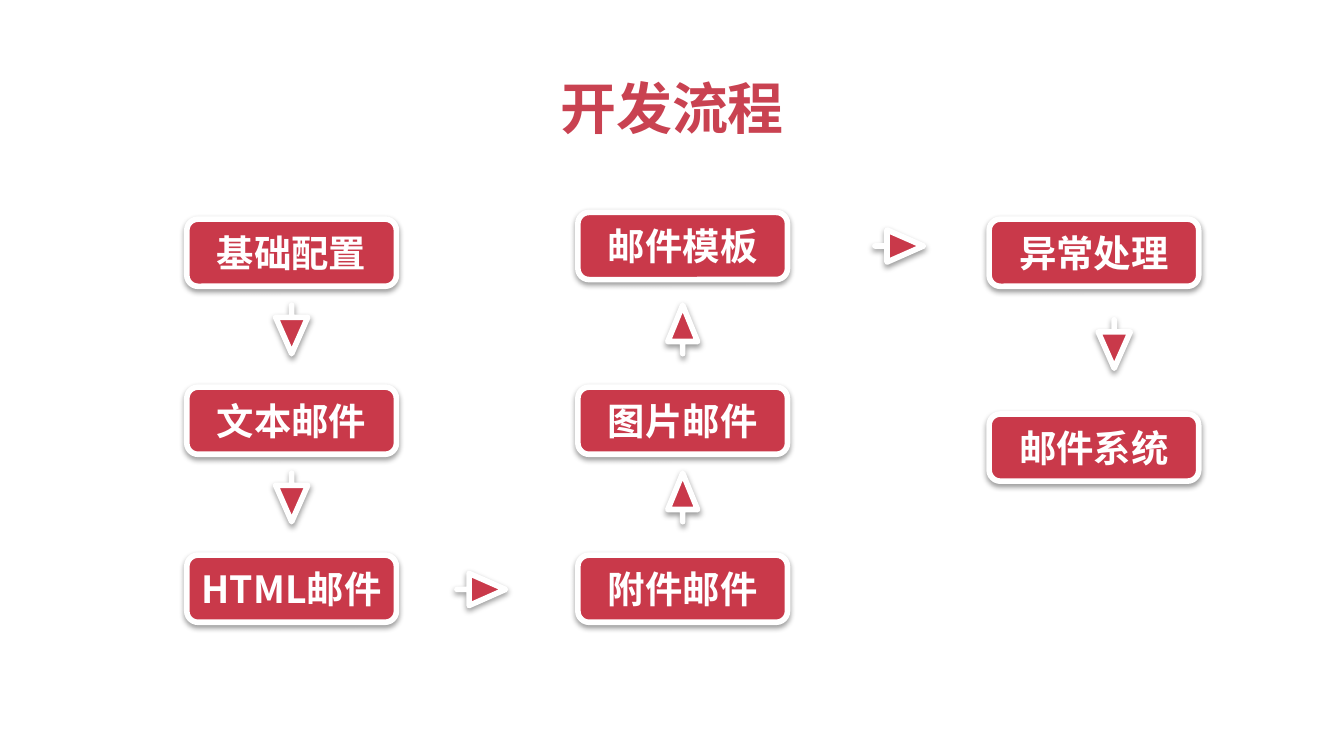
from lxml import etree
from pptx import Presentation
from pptx.dml.color import RGBColor
from pptx.enum import shapes, text
from pptx.oxml.ns import qn
from pptx.util import Pt

FONT = "Noto Sans CJK SC"
RED, WHITE = "C9394A", "FFFFFF"
BOX_W, BOX_H = 112.3, 36
COLS = (100.1, 309.6, 529.9)
TOP, STEP = 117.4, 90
ROWS = [TOP + i * STEP for i in range(3)]


def color(code):
    return RGBColor.from_string(code)


def write(shape, words, size, code):
    frame = shape.text_frame
    frame.word_wrap = True
    frame.margin_left = frame.margin_right = Pt(3.6)
    frame.margin_top = frame.margin_bottom = Pt(3.6)
    para = frame.paragraphs[0]
    para.alignment = text.PP_ALIGN.CENTER
    run = para.add_run()
    run.text = words
    run.font.size = Pt(size)
    run.font.bold = True
    run.font.name = FONT
    run.font.color.rgb = color(code)
    # East Asian typeface
    etree.SubElement(run.font._element, qn("a:ea"), typeface=FONT)


def style(shape):
    """Red fill, rounded white outline and a soft shadow below."""
    shape.fill.solid()
    shape.fill.fore_color.rgb = color(RED)
    shape.line.color.rgb = color(WHITE)
    shape.line.width = Pt(3)
    props = shape._element.spPr
    line = props.find(qn("a:ln"))
    line.set("cap", "rnd")
    etree.SubElement(line, qn("a:round"))
    shape.shadow.inherit = False
    glow = etree.SubElement(
        props.find(qn("a:effectLst")), qn("a:outerShdw"),
        blurRad=str(Pt(3)), dist=str(Pt(1.6)), dir="5400000", rotWithShape="0")
    tint = etree.SubElement(glow, qn("a:srgbClr"), val="000000")
    etree.SubElement(tint, qn("a:alpha"), val="38000")


def title(slide, words):
    box = slide.shapes.add_textbox(Pt(20), Pt(36), Pt(680), Pt(45))
    write(box, words, 30, "C94251")


def step(slide, words, x, y):
    box = slide.shapes.add_shape(
        shapes.MSO_SHAPE.ROUNDED_RECTANGLE, Pt(x), Pt(y), Pt(BOX_W), Pt(BOX_H))
    box.adjustments[0] = 0.167
    style(box)
    box.text_frame.vertical_anchor = text.MSO_ANCHOR.MIDDLE
    write(box, words, 20, WHITE)


def arrow(slide, x, y, dx, dy, half=8.6):
    """Arrow centred on x, y that points along dx, dy."""
    def spot(along, side):
        return (Pt(x + along * dx - side * dy), Pt(y + along * dy + side * dx))

    neck, tail, tip = spot(-6.5, 0), spot(-13, 0), spot(13, 0)
    pen = slide.shapes.build_freeform(*spot(-6.5, half))
    pen.add_line_segments([neck, tail, neck, spot(-6.5, -half), tip], close=True)
    style(pen.convert_to_shape())


def main():
    deck = Presentation()
    deck.slide_width, deck.slide_height = Pt(720), Pt(405)
    slide = deck.slides.add_slide(deck.slide_layouts[6])
    title(slide, "开发流程")

    # Steps, column by column
    left, mid, right = COLS
    steps = (
        (left, ROWS, ("基础配置", "文本邮件", "HTML邮件")),
        (mid, (113.8, *ROWS[1:]), ("邮件模板", "图片邮件", "附件邮件")),
        (right, (TOP, 221.8), ("异常处理", "邮件系统")),
    )
    for x, tops, names in steps:
        for y, name in zip(tops, names):
            step(slide, name, x, y)

    # Arrows down the first column and up the second
    for y in ROWS[:2]:
        arrow(slide, left + BOX_W / 2, y + 59.1, 0, 1)
        arrow(slide, mid + BOX_W / 2, y + 59.1, 0, -1, 8)

    # Arrows between the columns and down the last one
    arrow(slide, 257.8, 315.8, 1, 0)
    arrow(slide, 481.7, 131.8, 1, 0)
    arrow(slide, 596.9, 184.3, 0, 1)

    deck.save("out.pptx")


if __name__ == "__main__":
    main()
